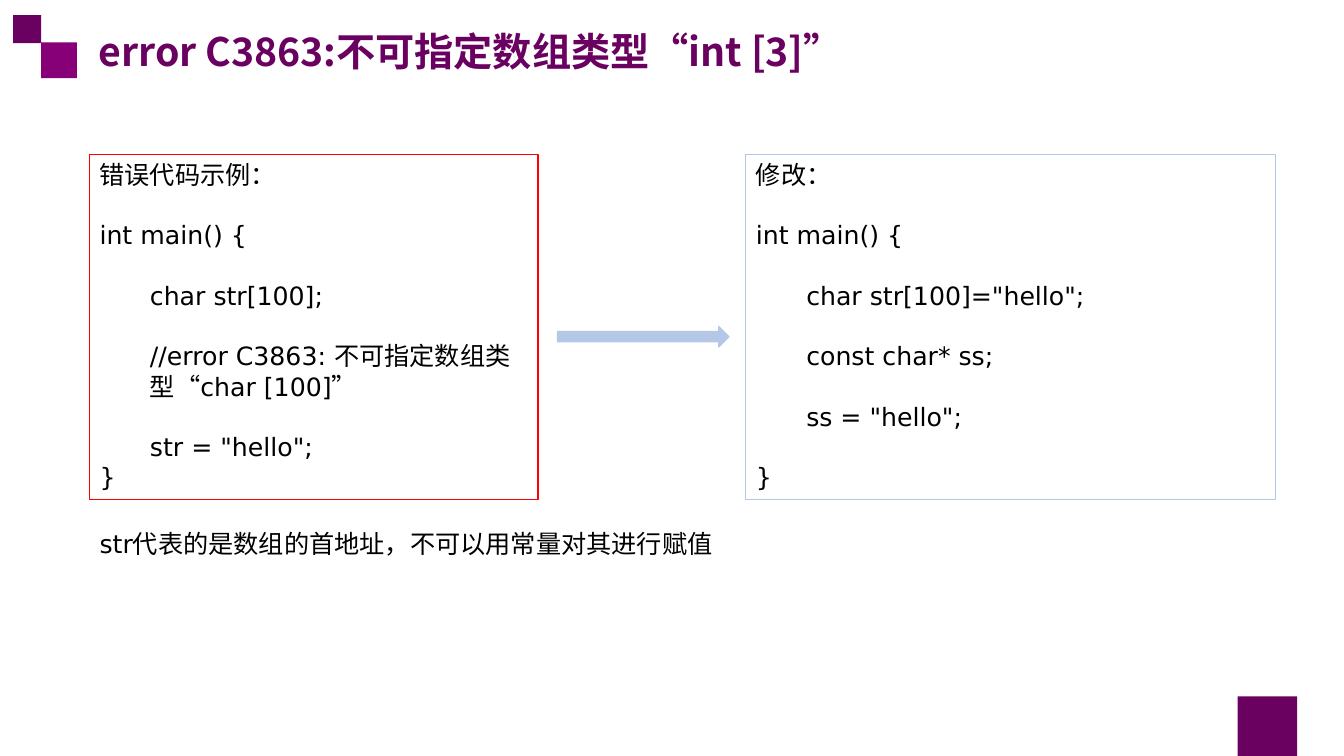
"""Build a slide explaining compiler error C3863 with a faulty and a fixed example."""
from lxml import etree
from pptx import Presentation
from pptx import util as u
from pptx.dml.color import RGBColor
from pptx.enum import lang, shapes, text
from pptx.oxml import ns

COLOURS = {"plum": "6A005F", "violet": "870078", "red": "FF0000",
           "blue": "B4C7E7", "black": "000000"}
LATIN, CJK = "DejaVu Sans", "Noto Sans CJK SC"
LINE = 21.6
INDENT = 1.27

SQUARES = [
    (1.04, 1.07, 0.9, "violet"),
    (0.33, 0.38, 0.71, "plum"),
    (31.19, 17.55, 1.5, "plum"),
]
TITLE = "error C3863:不可指定数组类型“int [3]”"
NOTE = "str代表的是数组的首地址，不可以用常量对其进行赋值"
# Each line: wording, indent level, blank line before it
PANELS = [
    (2.26, 11.3, "red", [
        ("错误代码示例：", 0, False),
        ("int main() {", 0, True),
        ("char str[100];", 1, True),
        ("//error C3863: 不可指定数组类型“char [100]”", 1, True),
        ("str = \"hello\";", 1, True),
        ("}", 0, False),
    ]),
    (18.8, 13.34, "blue", [
        ("修改：", 0, False),
        ("int main() {", 0, True),
        ("char str[100]=\"hello\";", 1, True),
        ("const char* ss;", 1, True),
        ("ss = \"hello\";", 1, True),
        ("}", 0, True),
    ]),
]
PANEL_TOP, PANEL_HEIGHT = 3.89, 8.71


def colour(name):
    return RGBColor.from_string(COLOURS[name])


def add_shape(page, kind, place, fill=None, line=None, weight=0.75):
    shape = page.shapes.add_shape(kind, *[u.Cm(length) for length in place])
    shape.shadow.inherit = False
    if fill:
        shape.fill.solid()
        shape.fill.fore_color.rgb = colour(fill)
    else:
        shape.fill.background()
    if line:
        shape.line.color.rgb = colour(line)
        shape.line.width = u.Pt(weight)
    else:
        shape.line.fill.background()
    return shape


def write(box, lines, size=18, latin=LATIN, ink="black", bold=False,
          anchor=text.MSO_ANCHOR.TOP):
    frame = box.text_frame
    frame.word_wrap = True
    frame.vertical_anchor = anchor
    frame.text = "\n".join(wording for wording, _, _ in lines)
    for para, (_, level, gap) in zip(frame.paragraphs, lines):
        para.alignment = text.PP_ALIGN.LEFT
        para.line_spacing = u.Pt(LINE * size / 18)
        para.space_before = u.Pt(LINE if gap else 0)
        if level:
            para.level = level
            properties = para._p.get_or_add_pPr()
            properties.set("marL", str(u.Cm(INDENT * level)))
            properties.set("indent", "0")
        for span in para.runs:
            font = span.font
            font.size, font.bold, font.name = u.Pt(size), bold, latin
            font.color.rgb = colour(ink)
            font.language_id = lang.MSO_LANGUAGE_ID.SIMPLIFIED_CHINESE
            east_asian = etree.SubElement(font._element, ns.qn("a:ea"))
            east_asian.set("typeface", CJK)


def add_text(page, place, wording, **style):
    box = page.shapes.add_textbox(*[u.Cm(length) for length in place])
    write(box, [(wording, 0, False)], **style)


def main():
    deck = Presentation()
    deck.slide_width, deck.slide_height = u.Cm(33.87), u.Cm(19.05)
    page = deck.slides.add_slide(deck.slide_layouts[6])
    kinds = shapes.MSO_SHAPE

    for left, top, side, fill in SQUARES:
        add_shape(page, kinds.RECTANGLE, (left, top, side, side), fill)
    add_text(page, (2.24, 0.56, 29.92, 1.45), TITLE, size=28, latin=CJK,
             ink="plum", bold=True, anchor=text.MSO_ANCHOR.MIDDLE)
    for left, width, line, lines in PANELS:
        panel = add_shape(page, kinds.RECTANGLE,
                          (left, PANEL_TOP, width, PANEL_HEIGHT), line=line)
        write(panel, lines)
    add_text(page, (2.26, 13.18, 20.75, 1.02), NOTE)
    add_shape(page, kinds.RIGHT_ARROW, (14.05, 8.23, 4.32, 0.51),
              "blue", "blue", 1)
    deck.save("out.pptx")


if __name__ == "__main__":
    main()
